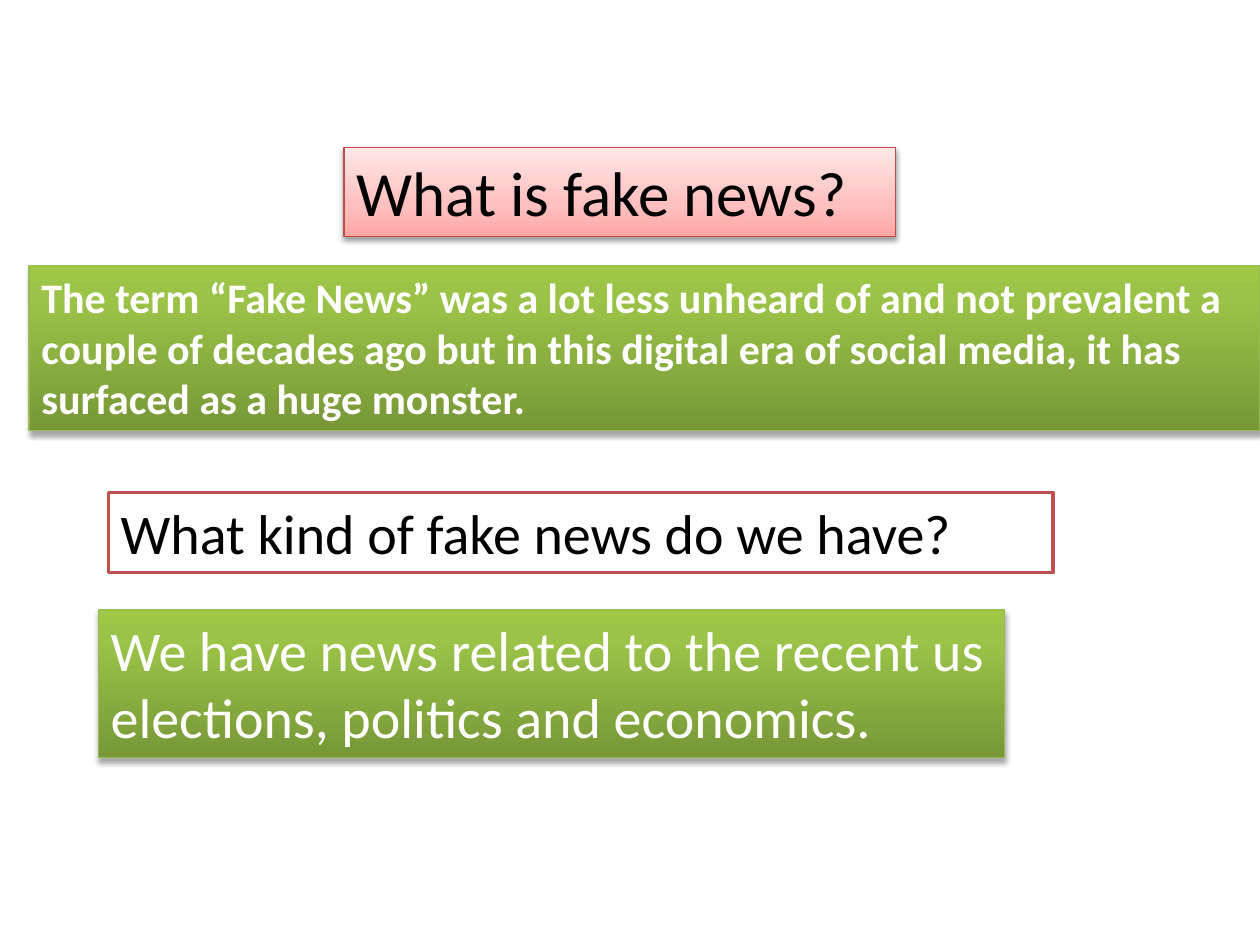
from dataclasses import dataclass

from lxml import etree
from pptx import Presentation
from pptx import util as u
from pptx.dml import color
from pptx.enum import shapes, text
from pptx.oxml import ns

WIDTH, HEIGHT = 10, 7.5


@dataclass(frozen=True)
class Theme:
    """Colours, type sizes and panel styles of the slide."""
    font: str = "Calibri"
    title: int = 36
    large: int = 32
    body: int = 24
    dark: str = "000000"
    light: str = "FFFFFF"

    def style(self, name):
        """Return fill stops, line, text colour and shadow of a panel style."""
        return {
            "pink": dict(stops=[(0, "FFA6A5"), (35, "FFC0BF"), (100, "FFE7E7")],
                         line=("BF4C48", 0.75), ink=self.dark, shadow=(38, 1.6)),
            "green": dict(stops=[(0, "779737"), (80, "9BC348"), (100, "9DC746")],
                          line=("98B955", 0.75), ink=self.light, shadow=(35, 1.8)),
            "outline": dict(stops=[(0, self.light)],
                            line=("C0504D", 2), ink=self.dark, shadow=None),
        }[name]


THEME = Theme()


def rgb(value):
    """Turn a hex string into a colour."""
    return color.RGBColor.from_string(value)


def node(parent, tag, **attrs):
    """Append a DrawingML element with the given attributes."""
    return etree.SubElement(parent, ns.qn(f"a:{tag}"),
                            {k: str(v) for k, v in attrs.items()})


def paint(sp, stops):
    """Fill a shape with one colour, or with stops running upwards."""
    if len(stops) == 1:
        sp.fill.solid()
        sp.fill.fore_color.rgb = rgb(stops[0][1])
        return
    sp.fill.gradient()
    grad = sp._element.spPr.find(ns.qn("a:gradFill"))
    gs_list = grad.find(ns.qn("a:gsLst"))
    for old in list(gs_list):
        gs_list.remove(old)
    for pos, value in stops:
        node(node(gs_list, "gs", pos=pos * 1000), "srgbClr", val=value)
    grad.find(ns.qn("a:lin")).set("ang", str(270 * 60000))


def cast_shadow(sp, alpha, distance):
    """Give a shape a soft shadow straight below it."""
    effects = sp._element.spPr.find(ns.qn("a:effectLst"))
    outer = node(effects, "outerShdw", blurRad=u.Pt(3.1), dist=u.Pt(distance),
                 dir=90 * 60000, rotWithShape=0)
    node(node(outer, "srgbClr", val=THEME.dark), "alpha", val=alpha * 1000)


def add_panel(s, box, words, style, size, bold=False):
    """Add a text panel; box holds shares of the slide's size."""
    look = THEME.style(style)
    sides = (WIDTH, HEIGHT, WIDTH, HEIGHT)
    sp = s.shapes.add_shape(shapes.MSO_SHAPE.RECTANGLE,
                            *(u.Inches(a * b) for a, b in zip(box, sides)))
    paint(sp, look["stops"])
    line_color, line_width = look["line"]
    sp.line.color.rgb = rgb(line_color)
    sp.line.width = u.Pt(line_width)
    sp.shadow.inherit = False
    if look["shadow"]:
        cast_shadow(sp, *look["shadow"])

    tf = sp.text_frame
    for key, value in dict(word_wrap=True, vertical_anchor=text.MSO_ANCHOR.TOP,
                           auto_size=text.MSO_AUTO_SIZE.SHAPE_TO_FIT_TEXT).items():
        setattr(tf, key, value)
    p = tf.paragraphs[0]
    p.alignment = text.PP_ALIGN.LEFT
    r = p.add_run()
    r.text = words
    for key, value in dict(name=THEME.font, size=u.Pt(size), bold=bold).items():
        setattr(r.font, key, value)
    r.font.color.rgb = rgb(look["ink"])


def main():
    """Build the slide and save it."""
    prs = Presentation()
    prs.slide_width, prs.slide_height = u.Inches(WIDTH), u.Inches(HEIGHT)
    s = prs.slides.add_slide(prs.slide_layouts[6])
    add_panel(s, (0.273, 0.156, 0.438, 0.094), "What is fake news?",
              "pink", THEME.title)
    add_panel(s, (0.023, 0.281, 0.977, 0.175),
              "The term “Fake News” was a lot less unheard of and not prevalent a "
              "couple of decades ago but in this digital era of social media, it "
              "has surfaced as a huge monster.", "green", THEME.body, bold=True)
    add_panel(s, (0.086, 0.521, 0.75, 0.085), "What kind of fake news do we have?",
              "outline", THEME.large)
    add_panel(s, (0.078, 0.645, 0.719, 0.157),
              "We have news related to the recent us elections, politics and "
              "economics.", "green", THEME.large)
    prs.save("out.pptx")


main()
